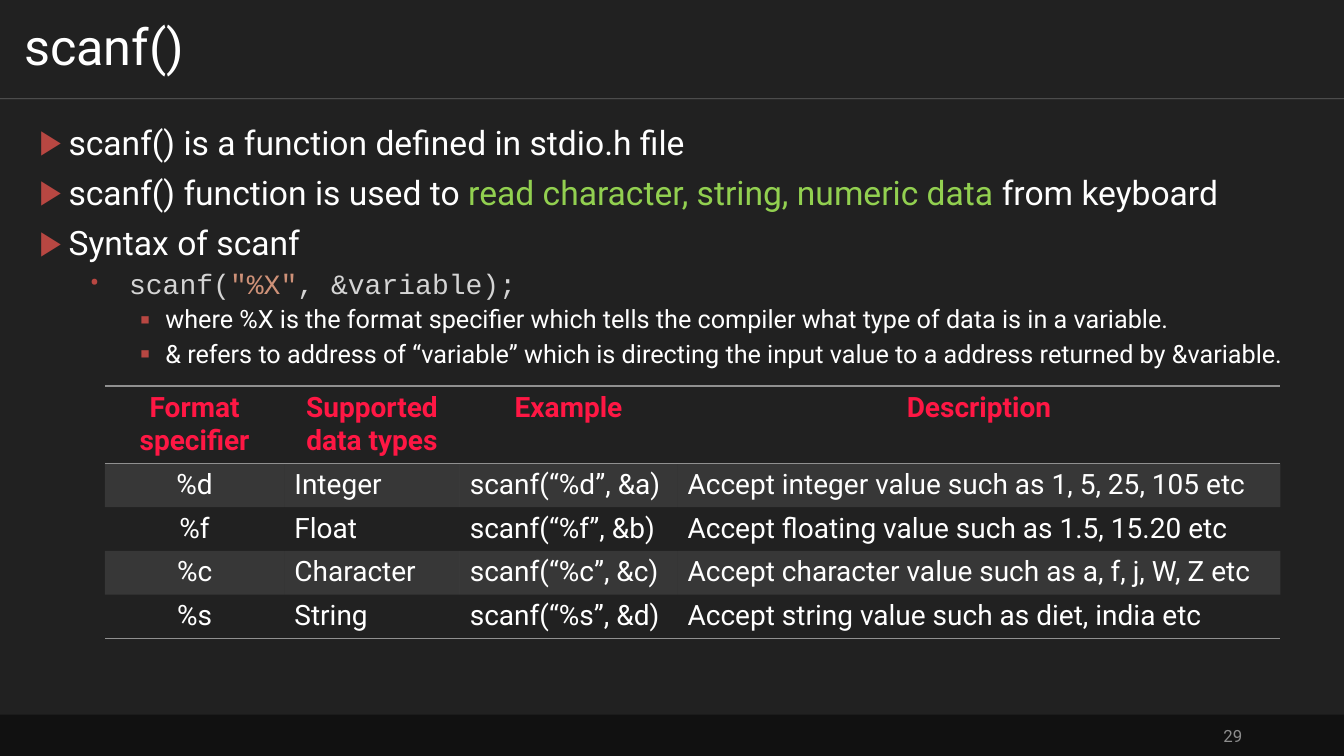
"""Build the slide that explains scanf() and its format specifiers."""
from lxml.etree import SubElement
from pptx import Presentation
from pptx.dml.color import RGBColor
from pptx.enum.shapes import MSO_CONNECTOR, MSO_SHAPE
from pptx.enum.text import MSO_ANCHOR, MSO_AUTO_SIZE, PP_ALIGN
from pptx.oxml import parse_xml
from pptx.oxml.ns import nsdecls, qn
from pptx.util import Inches, Pt

COLORS = {
    "background": "212121", "footer": "111111", "text": "FFFFFF", "number": "8D8D8D",
    "highlight": "92D050", "code": "D4D4D4", "string": "CE9178", "bullet": "B84742",
    "heading": "FF1744", "grid": "909090",
}
TITLE = "scanf()"
PAGE_NUMBER = "29"
POINTS = [
    (0, [("scanf() is a function defined in stdio.h file", "text")]),
    (0, [("scanf() function is used to ", "text"),
         ("read character, string, numeric data", "highlight"),
         (" from keyboard", "text")]),
    (0, [("Syntax of scanf", "text")]),
    (1, [("scanf(", "code"), ('"%X"', "string"), (", &variable);", "code")]),
    (2, [("where %X is the format specifier which tells the compiler "
          "what type of data is in a variable.", "text")]),
    (2, [("& refers to address of “variable” which is directing the input value "
          "to a address returned by &variable.", "text")]),
]
LEVELS = [
    {"mark": "▶", "left": 0.29, "hang": 0.29, "before": 10, "size": 24,
     "font": "Roboto", "align": PP_ALIGN.JUSTIFY},
    {"mark": "•", "left": 0.89, "hang": 0.39, "before": 5, "size": 20,
     "font": "Courier New", "align": PP_ALIGN.LEFT},
    {"mark": "▪", "left": 1.25, "hang": 0.25, "before": 5, "size": 18,
     "font": "Roboto", "align": PP_ALIGN.JUSTIFY},
]
TABLE = [
    ("Format specifier", "Supported\ndata types", "Example", "Description"),
    ("%d", "Integer", "scanf(“%d”, &a)", "Accept integer value such as 1, 5, 25, 105 etc"),
    ("%f", "Float", "scanf(“%f”, &b)", "Accept floating value such as 1.5, 15.20 etc"),
    ("%c", "Character", "scanf(“%c”, &c)", "Accept character value such as a, f, j, W, Z etc"),
    ("%s", "String", "scanf(“%s”, &d)", "Accept string value such as diet, india etc"),
]
COLUMN_WIDTHS = [1.78, 1.74, 2.16, 5.98]
HEADER_HEIGHT, ROW_HEIGHT = 0.76, 0.43
WIDTH, HEIGHT = 13.33, 7.5
TITLE_HEIGHT, FOOTER_HEIGHT = 0.98, 0.41
PLAIN_TABLE_STYLE = "{2D5ABB26-0587-4C30-8999-92F81FD0307C}"


def color(name):
    return RGBColor.from_string(COLORS[name])


def style(font, size, color_name, name="Roboto", bold=False):
    font.size, font.name, font.bold = Pt(size), name, bold
    font.color.rgb = color(color_name)


def place(shape, left, top, width, height):
    shape.left, shape.top = Inches(left), Inches(top)
    shape.width, shape.height = Inches(width), Inches(height)


def set_alpha(element, percent):
    SubElement(next(element.iter(qn("a:srgbClr"))), qn("a:alpha"), val=str(percent * 1000))


def add_frame(slide):
    footer = slide.shapes.add_shape(
        MSO_SHAPE.RECTANGLE, 0, Inches(HEIGHT - FOOTER_HEIGHT),
        Inches(WIDTH), Inches(FOOTER_HEIGHT))
    footer.shadow.inherit = False
    footer.fill.solid()
    footer.fill.fore_color.rgb = color("footer")
    footer.line.fill.background()
    rule = slide.shapes.add_connector(
        MSO_CONNECTOR.STRAIGHT, 0, Inches(TITLE_HEIGHT), Inches(WIDTH), Inches(TITLE_HEIGHT))
    rule.line.width = Pt(0.5)
    rule.line.color.rgb = color("text")
    properties = rule._element.spPr
    set_alpha(properties, 30)
    SubElement(properties, qn("a:effectLst"))
    number = slide.shapes.add_textbox(Inches(9.42), Inches(7.1), Inches(3), Inches(0.4))
    frame = number.text_frame
    frame.word_wrap = True
    frame.vertical_anchor = MSO_ANCHOR.MIDDLE
    frame.text = PAGE_NUMBER
    frame.paragraphs[0].alignment = PP_ALIGN.RIGHT
    style(frame.paragraphs[0].runs[0].font, 12, "number")


def fill_title(title):
    place(title, 0, 0, WIDTH, TITLE_HEIGHT)
    frame = title.text_frame
    frame.text = TITLE
    frame.auto_size = MSO_AUTO_SIZE.NONE
    frame.vertical_anchor = MSO_ANCHOR.MIDDLE
    frame.margin_left = frame.margin_right = Inches(0.24)
    frame.margin_top = frame.margin_bottom = Inches(0.12)
    paragraph = frame.paragraphs[0]
    paragraph.alignment, paragraph.line_spacing = PP_ALIGN.LEFT, 0.9
    style(paragraph.runs[0].font, 36, "text")


def fill_body(body):
    place(body, 0.29, 1.2, 12.76, 5.71)
    frame = body.text_frame
    frame.auto_size = MSO_AUTO_SIZE.NONE
    for index, (level, parts) in enumerate(POINTS):
        look = LEVELS[level]
        paragraph = frame.add_paragraph() if index else frame.paragraphs[0]
        paragraph.level = level
        properties = paragraph._p.get_or_add_pPr()
        properties.set("marL", str(Inches(look["left"])))
        properties.set("indent", str(-Inches(look["hang"])))
        bullet_color = SubElement(properties, qn("a:buClr"))
        SubElement(bullet_color, qn("a:srgbClr"), val=COLORS["bullet"])
        SubElement(properties, qn("a:buFont"), typeface="Roboto")
        SubElement(properties, qn("a:buChar"), char=look["mark"])
        paragraph.alignment, paragraph.line_spacing = look["align"], 0.9
        paragraph.space_before = Pt(look["before"] if index else 0)
        for text, color_name in parts:
            run = paragraph.add_run()
            run.text = text
            style(run.font, look["size"], color_name, look["font"])


def format_cell(cell, row, column):
    header = row == 0
    for paragraph in cell.text_frame.paragraphs:
        paragraph.alignment = PP_ALIGN.CENTER if header or column == 0 else PP_ALIGN.LEFT
        style(paragraph.runs[0].font, 20, "heading" if header else "text", bold=header)
    properties = cell._tc.get_or_add_tcPr()
    if row % 2:
        cell.fill.solid()
        cell.fill.fore_color.rgb = color("grid")
        set_alpha(properties, 20)
    else:
        cell.fill.background()
    edges = ["lnT", "lnB"] if header else ["lnB"] if row == len(TABLE) - 1 else []
    for position, edge in enumerate(edges):
        properties.insert(position, parse_xml(
            f'<a:{edge} {nsdecls("a")} w="{Pt(1)}"><a:solidFill>'
            f'<a:srgbClr val="{COLORS["grid"]}"/></a:solidFill></a:{edge}>'))


def add_specifier_table(slide):
    heights = [HEADER_HEIGHT] + [ROW_HEIGHT] * (len(TABLE) - 1)
    table = slide.shapes.add_table(
        len(TABLE), len(COLUMN_WIDTHS), Inches(1.04), Inches(3.83),
        Inches(sum(COLUMN_WIDTHS)), Inches(sum(heights))).table
    table.first_row = table.horz_banding = False
    table._tbl.tblPr.find(qn("a:tableStyleId")).text = PLAIN_TABLE_STYLE
    for column, width in zip(table.columns, COLUMN_WIDTHS):
        column.width = Inches(width)
    for row, (texts, height) in enumerate(zip(TABLE, heights)):
        table.rows[row].height = Inches(height)
        for column, text in enumerate(texts):
            cell = table.cell(row, column)
            cell.text_frame.text = text
            format_cell(cell, row, column)


def main():
    presentation = Presentation()
    presentation.slide_width, presentation.slide_height = Inches(WIDTH), Inches(HEIGHT)
    slide = presentation.slides.add_slide(presentation.slide_layouts[1])
    slide.background.fill.solid()
    slide.background.fill.fore_color.rgb = color("background")
    add_frame(slide)
    fill_title(slide.shapes.title)
    fill_body(slide.placeholders[1])
    add_specifier_table(slide)
    presentation.save("out.pptx")


if __name__ == "__main__":
    main()
